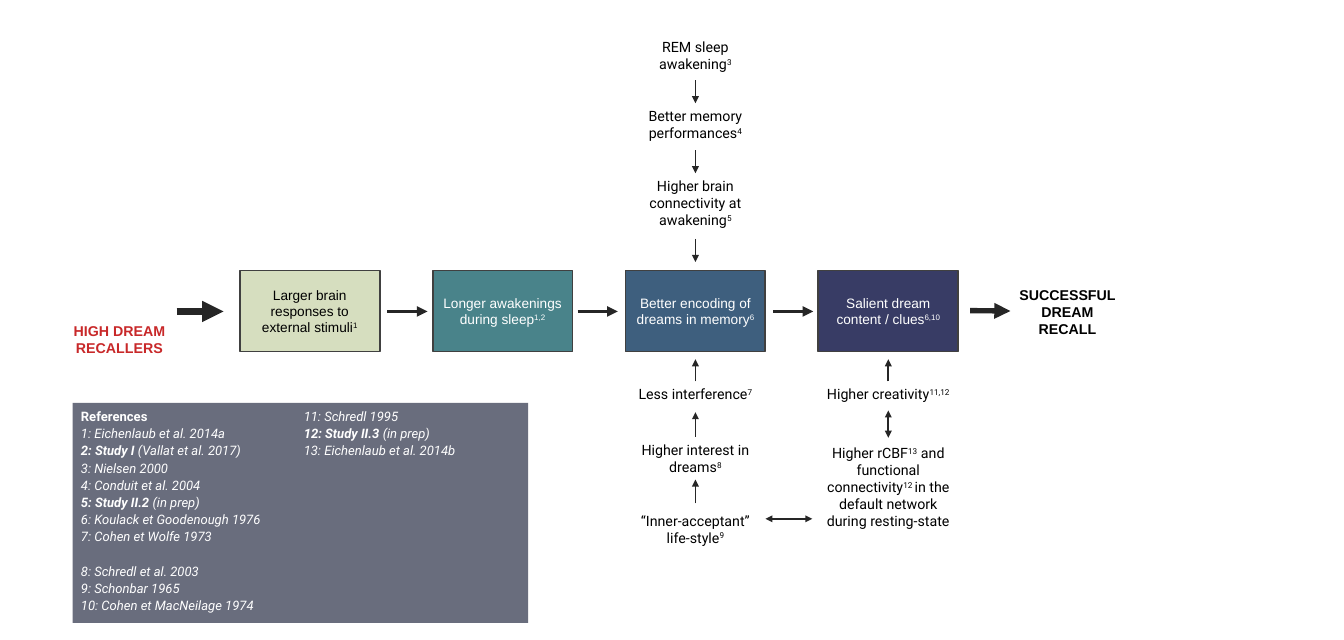
from pptx import Presentation
from pptx.dml.color import RGBColor
from pptx.enum.shapes import MSO_CONNECTOR, MSO_SHAPE
from pptx.enum.text import MSO_ANCHOR, MSO_AUTO_SIZE, PP_ALIGN
from pptx.oxml.ns import qn
from pptx.util import Inches, Pt
from lxml.etree import SubElement

BLACK = RGBColor(0x00, 0x00, 0x00)
WHITE = RGBColor(0xFF, 0xFF, 0xFF)
RED = RGBColor(0xC8, 0x28, 0x29)
INK = RGBColor(0x26, 0x26, 0x26)
BORDER = RGBColor(0x40, 0x40, 0x40)
SLATE = RGBColor(0x69, 0x6D, 0x7D)
LIME = RGBColor(0xD6, 0xDE, 0xBF)
TEAL = RGBColor(0x49, 0x83, 0x8A)
BLUE = RGBColor(0x3E, 0x5F, 0x7E)
NAVY = RGBColor(0x38, 0x3C, 0x65)

# Grid: four equal columns, with the main chain on one row
FIRST_CENTER, COL_STEP, BOX_W = 3.63, 2.26, 1.64
CHAIN_TOP, CHAIN_H, CHAIN_Y = 3.17, 0.95, 3.65
TOP, LEFT, BOTTOM = 0, 1, 2

# ^ encloses a superscript
STAGES = [
    ("Larger brain responses to external stimuli^1^", LIME, BLACK),
    ("Longer awakenings during sleep^1,2^", TEAL, WHITE),
    ("Better encoding of dreams in memory^6^", BLUE, WHITE),
    ("Salient dream content / clues^6,10^", NAVY, WHITE),
]
# Bold part, italic part
REFERENCES = [
    ("References", ""),
    ("", "1: Eichenlaub et al. 2014a"),
    ("2: Study I ", "(Vallat et al. 2017)"),
    ("", "3: Nielsen 2000"),
    ("", "4: Conduit et al. 2004"),
    ("5: Study II.2 ", "(in prep)"),
    ("", "6: Koulack et Goodenough 1976"),
    ("", "7: Cohen et Wolfe 1973"),
    ("", "8: Schredl et al. 2003"),
    ("", "9: Schonbar 1965"),
    ("", "10: Cohen et MacNeilage 1974"),
    ("", "11: Schredl 1995"),
    ("12: Study II.3 ", "(in prep)"),
    ("", "13: Eichenlaub et al. 2014b"),
]


def center(col):
    return FIRST_CENTER + col * COL_STEP


def add_run(p, text, size, font, color, bold=False, italic=False):
    r = p.add_run()
    r.text = text
    f = r.font
    f.size, f.name, f.bold, f.italic = Pt(size), font, bold, italic
    f.color.rgb = color
    return r


def add_noted_text(tf, text, size, font, color):
    """Centred text whose parts between ^ marks are superscripts."""
    p = tf.paragraphs[0]
    p.alignment = PP_ALIGN.CENTER
    for i, part in enumerate(text.split("^")):
        if part:
            r = add_run(p, part, size, font, color)
            if i % 2:
                r.font._element.set("baseline", "30000")


def add_rect(s, x, y, w, h, fill, border=None, anchor=MSO_ANCHOR.TOP):
    sp = s.shapes.add_shape(MSO_SHAPE.RECTANGLE, Inches(x), Inches(y), Inches(w), Inches(h))
    sp.shadow.inherit = False
    sp.fill.solid()
    sp.fill.fore_color.rgb = fill
    if border is None:
        sp.line.fill.background()
    else:
        sp.line.color.rgb = border
        sp.line.width = Pt(1.5)
    sp.text_frame.word_wrap = True
    sp.text_frame.vertical_anchor = anchor
    return sp


def add_stage(s, col, text, fill, color):
    sp = add_rect(s, center(col) - BOX_W / 2, CHAIN_TOP, BOX_W, CHAIN_H,
                  fill, BORDER, MSO_ANCHOR.MIDDLE)
    add_noted_text(sp.text_frame, text, 11.5, "Arial", color)


def add_factor(s, col, y, h, text, w=BOX_W):
    sp = s.shapes.add_textbox(Inches(center(col) - w / 2), Inches(y), Inches(w), Inches(h))
    tf = sp.text_frame
    tf.word_wrap = True
    tf.auto_size = MSO_AUTO_SIZE.SHAPE_TO_FIT_TEXT
    add_noted_text(tf, text, 12, "Roboto", BLACK)
    return sp


def add_endpoint(s, x, y, h, lines, color):
    sp = add_rect(s, x, y, 1.34, h, WHITE)
    tf = sp.text_frame
    for i, line in enumerate(lines):
        p = tf.add_paragraph() if i else tf.paragraphs[0]
        p.alignment = PP_ALIGN.CENTER
        add_run(p, line, 12, "Arial", color, bold=True)
    return sp


def add_arrow(s, x1, y1, x2, y2, width=1.5, both=False, begin=None, end=None):
    """begin and end are (shape, side) pairs to join."""
    c = s.shapes.add_connector(MSO_CONNECTOR.STRAIGHT, Inches(x1), Inches(y1),
                               Inches(x2), Inches(y2))
    if begin:
        c.begin_connect(*begin)
    if end:
        c.end_connect(*end)
    c.line.color.rgb = INK
    c.line.width = Pt(width)
    ln = c.line._get_or_add_ln()
    for tag in ("a:headEnd", "a:tailEnd") if both else ("a:tailEnd",):
        SubElement(ln, qn(tag)).set("type", "triangle")
    SubElement(c._element.spPr, qn("a:effectLst"))


def add_references(s):
    sp = add_rect(s, 0.85, 4.72, 5.34, 2.58, SLATE)
    tf = sp.text_frame
    body = tf._txBody.bodyPr
    body.set("numCol", "2")
    body.set("spcCol", str(Inches(0.08)))
    for i, (strong, plain) in enumerate(REFERENCES):
        p = tf.add_paragraph() if i else tf.paragraphs[0]
        p.alignment = PP_ALIGN.LEFT
        p.line_spacing = 1.1
        if plain.startswith("8:"):
            p.space_before = Pt(14.5)
        if strong:
            add_run(p, strong, 11, "Roboto", WHITE, bold=True, italic=bool(plain))
        if plain:
            add_run(p, plain, 11, "Roboto", WHITE, italic=True)


def main():
    prs = Presentation()
    prs.slide_width, prs.slide_height = Inches(15.75), Inches(7.5)
    s = prs.slides.add_slide(prs.slide_layouts[6])
    encoding, clues = center(2), center(3)

    # Main chain
    for col, stage in enumerate(STAGES):
        add_stage(s, col, *stage)
    for x in (4.54, 6.77, 9.06):
        add_arrow(s, x, CHAIN_Y, x + 0.47, CHAIN_Y, 3)
    add_endpoint(s, 0.73, 3.73, 0.47, ["HIGH DREAM", "RECALLERS"], RED)
    recall = add_endpoint(s, 11.84, 3.31, 0.67, ["SUCCESSFUL", "DREAM", "RECALL"], BLACK)
    add_arrow(s, 2.07, CHAIN_Y, 2.62, CHAIN_Y, 6)
    add_arrow(s, 11.37, 3.64, 11.84, 3.64, 4.5, end=(recall, LEFT))

    # Factors above the encoding stage
    add_factor(s, 2, 0.4, 0.5, "REM sleep awakening^3^")
    memory = add_factor(s, 2, 1.21, 0.5, "Better memory performances^4^")
    brain = add_factor(s, 2, 2.03, 0.71, "Higher brain connectivity at awakening^5^")
    add_arrow(s, encoding, 0.94, encoding, 1.21, end=(memory, TOP))
    add_arrow(s, encoding, 1.76, encoding, 2.03, end=(brain, TOP))
    add_arrow(s, encoding, 2.8, encoding, 3.07)

    # Factors below the encoding stage
    calm = add_factor(s, 2, 4.47, 0.3, "Less interference^7^")
    interest = add_factor(s, 2, 5.12, 0.5, "Higher interest in dreams^8^")
    add_factor(s, 2, 5.95, 0.5, "“Inner-acceptant” life-style^9^")
    add_arrow(s, encoding, 4.48, encoding, 4.21, begin=(calm, TOP))
    add_arrow(s, encoding, 5.11, encoding, 4.83, begin=(interest, TOP))
    add_arrow(s, encoding, 5.9, encoding, 5.62, end=(interest, BOTTOM))

    # Factors below the dream content stage
    creativity = add_factor(s, 3, 4.47, 0.3, "Higher creativity^11,12^", 1.79)
    add_factor(s, 3, 5.16, 1.11, "Higher rCBF^13^ and functional connectivity^12 ^"
                                 "in the default network during resting-state")
    add_arrow(s, clues, 4.48, clues, 4.21, begin=(creativity, TOP))
    add_arrow(s, clues, 5.13, clues, 4.81, both=True)
    add_arrow(s, 8.97, 6.08, 9.52, 6.08, both=True)

    add_references(s)
    prs.save("out.pptx")


if __name__ == "__main__":
    main()
